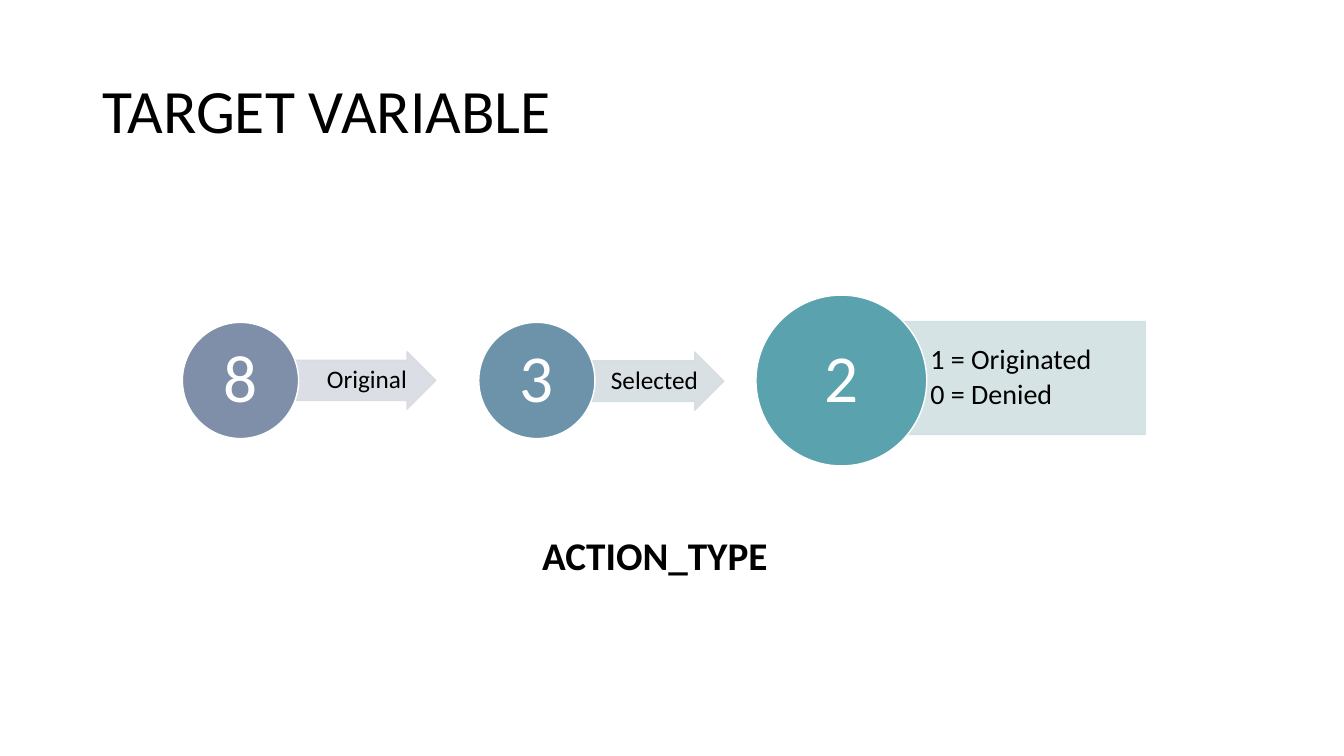
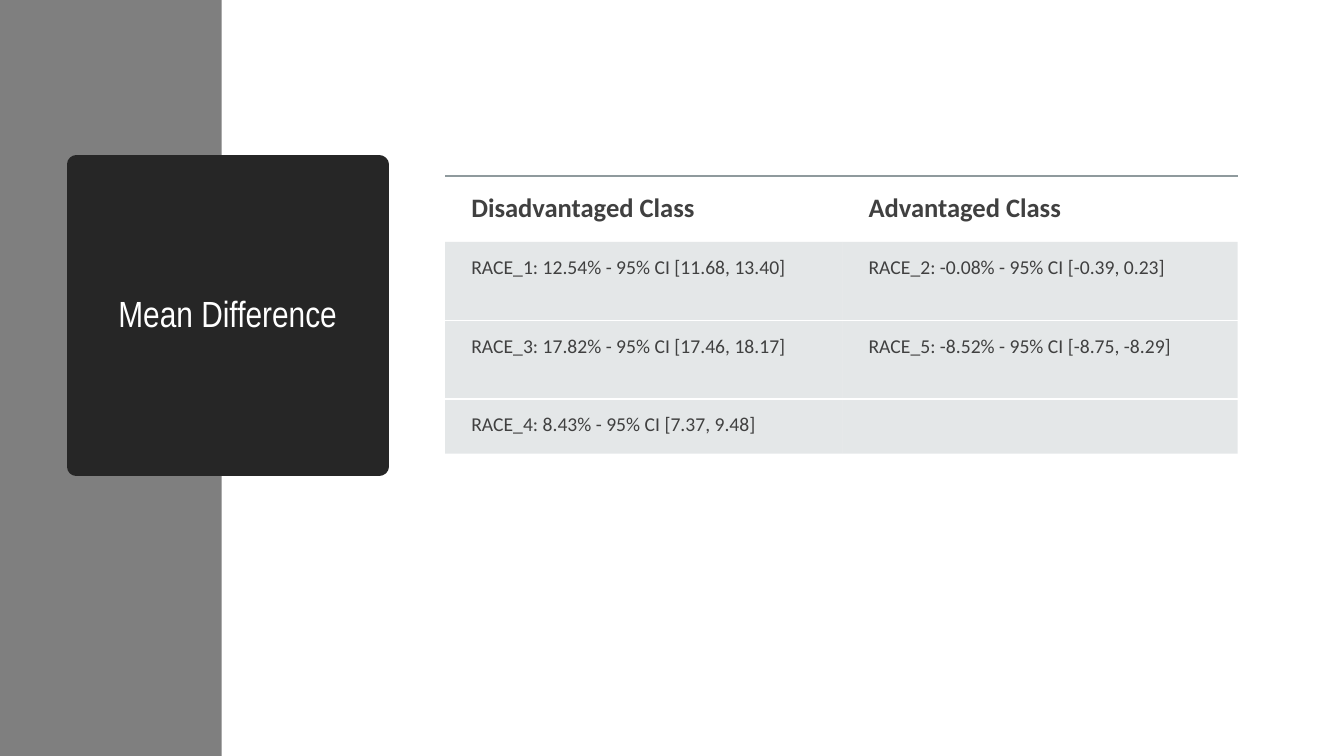
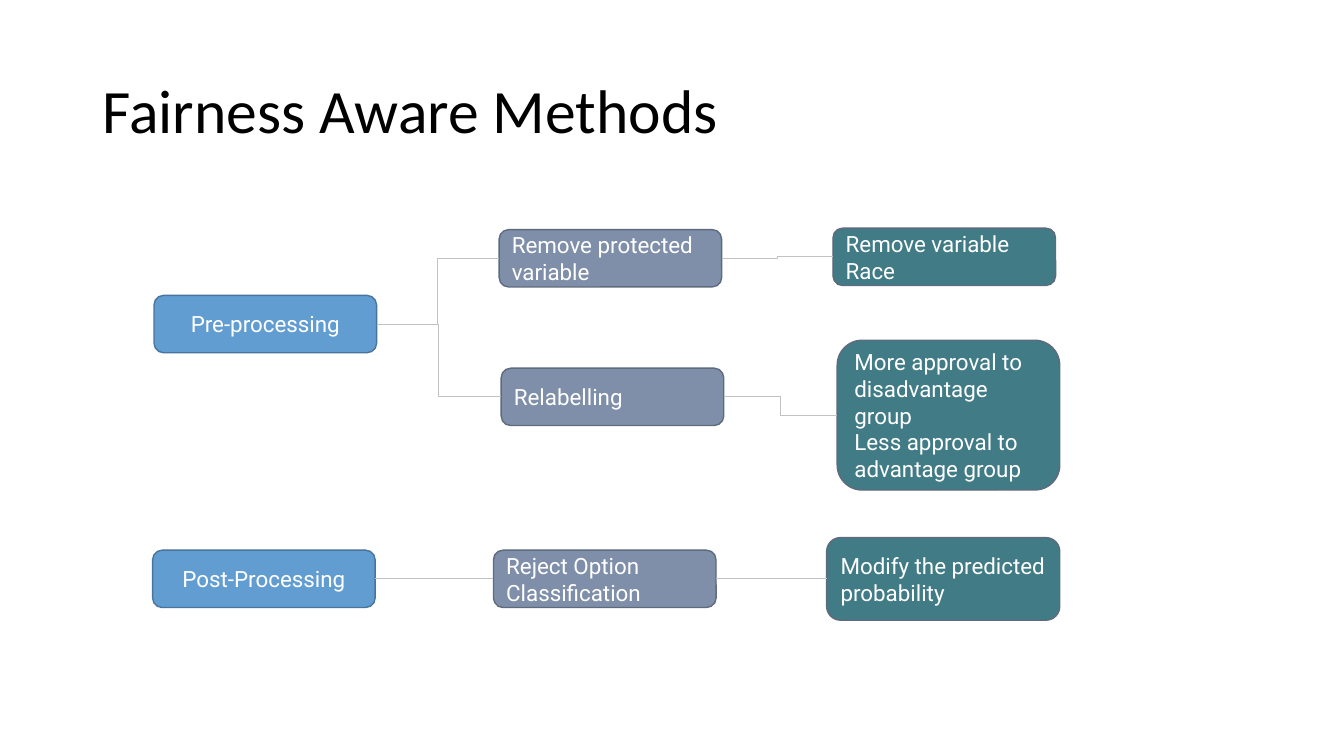
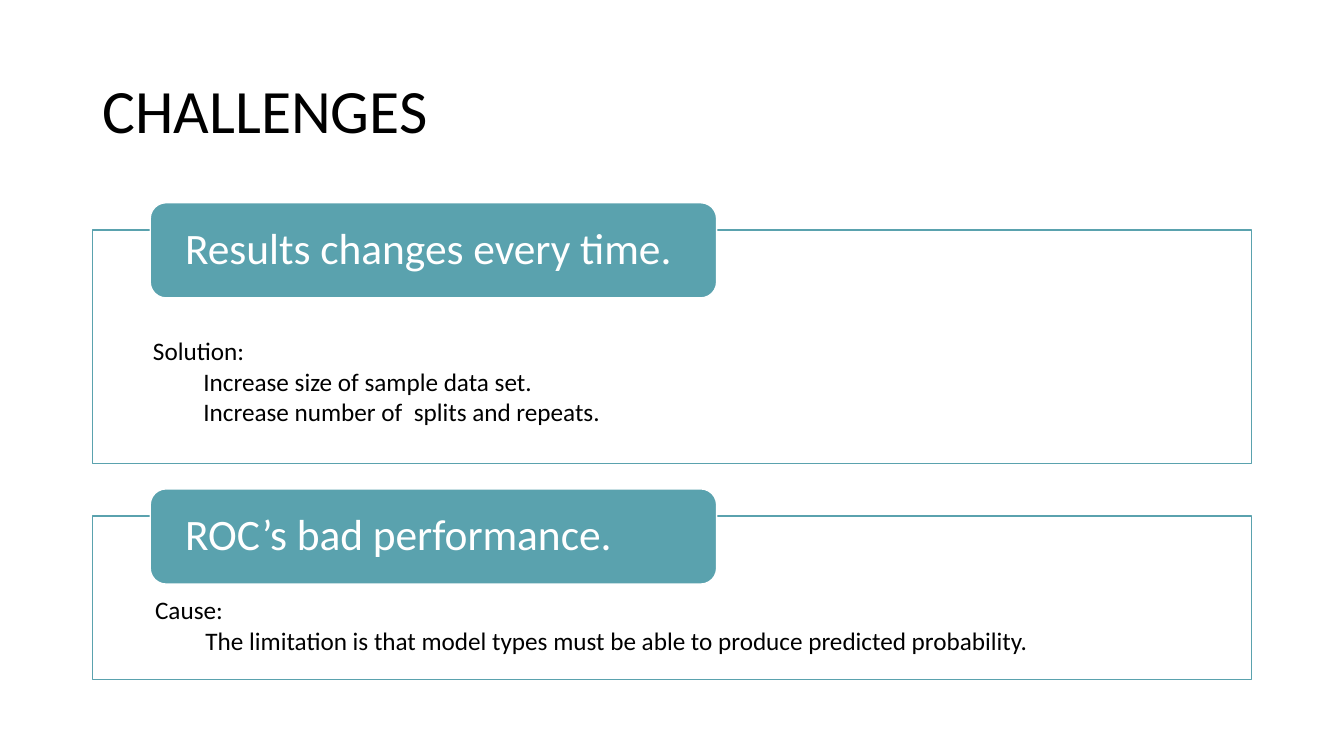
from lxml import etree
from pptx import Presentation
from pptx.dml.color import RGBColor
from pptx.enum.shapes import MSO_CONNECTOR, MSO_SHAPE, MSO_SHAPE_TYPE
from pptx.enum.text import MSO_ANCHOR, MSO_AUTO_SIZE, PP_ALIGN
from pptx.oxml.ns import qn
from pptx.util import Pt

LEFT, CENTER = PP_ALIGN.LEFT, PP_ALIGN.CENTER
TOP, MIDDLE = MSO_ANCHOR.TOP, MSO_ANCHOR.MIDDLE
NO_AUTOFIT = MSO_AUTO_SIZE.NONE
RECTANGLE, ROUNDED = MSO_SHAPE.RECTANGLE, MSO_SHAPE.ROUNDED_RECTANGLE
ELLIPSE, RIGHT_ARROW = MSO_SHAPE.OVAL, MSO_SHAPE.RIGHT_ARROW
AUTO_SHAPE = MSO_SHAPE_TYPE.AUTO_SHAPE
ELBOW = MSO_CONNECTOR.ELBOW
RIGHT_SIDE, LEFT_SIDE = 3, 1
TITLE_AND_CONTENT, TITLE_ONLY = 1, 5
PLAIN_TABLE_STYLE = "{2D5ABB26-0587-4C30-8999-92F81FD0307C}"

COLORS = {
    "black": "000000", "white": "FFFFFF",
    "slate": "7F8FA9", "slate line": "5E6A7D", "steel": "6D93AB", "teal": "5AA2AE",
    "pale slate": "D8DBE2", "pale steel": "D5DDE2", "pale teal": "D1E0E3",
    "band": "7F7F7F", "charcoal": "262626",
    "table text": "404040", "table fill": "B4BCBE", "table rule": "8F9A9D",
    "blue": "629DD1", "blue line": "49749B", "deep teal": "417B85", "connector": "C2C2C2",
}
RGB = {name: RGBColor.from_string(value) for name, value in COLORS.items()}


def write(frame, text, size=18, color="black", font="Calibri", bold=False, align=LEFT,
          anchor=TOP, margins=(7.2, 3.6, 7.2, 3.6), line_spacing=1.0,
          space_before=0, space_after=0, indents=None):
    """Fill a text frame, one paragraph a line; indents holds a left indent for each."""
    frame.word_wrap = True
    frame.auto_size = NO_AUTOFIT
    frame.vertical_anchor = anchor
    (frame.margin_left, frame.margin_top,
     frame.margin_right, frame.margin_bottom) = [Pt(margin) for margin in margins]
    for index, line in enumerate(text.split("\n")):
        paragraph = frame.add_paragraph() if index else frame.paragraphs[0]
        paragraph.alignment = align
        paragraph.line_spacing = line_spacing
        paragraph.space_before = Pt(space_before)
        paragraph.space_after = Pt(space_after)
        properties = paragraph._p.get_or_add_pPr()
        properties.set("marL", str(Pt(indents[index] if indents else 0)))
        properties.set("indent", "0")
        etree.SubElement(properties, qn("a:buNone"))
        run = paragraph.add_run()
        run.text = line
        run.font.size = Pt(size)
        run.font.name = font
        run.font.bold = bold
        run.font.color.rgb = RGB[color]


def set_opacity(element, percent):
    for color in element.iter(qn("a:srgbClr")):
        etree.SubElement(color, qn("a:alpha"), val=str(percent * 1000))


presentation = Presentation()
presentation.slide_width = Pt(960)
presentation.slide_height = Pt(540)

# Slides and titles
title_box = (66, 28.8, 828, 104.4)
title_format = {"size": 44}
card_format = {"size": 26, "font": "Arial Narrow", "color": "white", "align": CENTER}
slides = []
for layout, title, box, text_format in [
    (TITLE_AND_CONTENT, "TARGET VARIABLE", title_box, title_format),
    (TITLE_ONLY, "Mean Difference", (54.7, 117.4, 216, 216), card_format),
    (TITLE_ONLY, "Fairness Aware Methods", title_box, title_format),
    (TITLE_ONLY, "CHALLENGES", title_box, title_format),
]:
    slide = presentation.slides.add_slide(presentation.slide_layouts[layout])
    shape = slide.shapes.title
    shape.left, shape.top, shape.width, shape.height = [Pt(length) for length in box]
    write(shape.text_frame, title, anchor=MIDDLE, line_spacing=0.9, **text_format)
    slides.append(slide)
target_slide, difference_slide, methods_slide, challenges_slide = slides

# Target variable: three stages on one axis
body = target_slide.placeholders[1]
body.left, body.top, body.width, body.height = Pt(380), Pt(380), Pt(338), Pt(104)
write(body.text_frame, "ACTION_TYPE", size=28, bold=True, line_spacing=0.9, space_before=10)

axis = 271.8
arrow_text = {"size": 18, "align": CENTER, "margins": (32, 0.7, 2, 0.7)}
result_text = {"size": 20, "margins": (80.6, 0.7, 2, 0.7), "space_after": 3}
stages = [
    ("8", 130.3, 83, "slate", RIGHT_ARROW, (197.3, 251.3, 114, 41),
     "pale slate", "Original", arrow_text),
    ("3", 342, 83, "steel", RIGHT_ARROW, (402.5, 251.5, 114.5, 41.5),
     "pale steel", "Selected", arrow_text),
    ("2", 540, 122, "teal", RECTANGLE, (584, 229.7, 234, 80.6),
     "pale teal", "1 = Originated\n0 = Denied", result_text),
]
for number, left, diameter, color, kind, box, pale, label, text_format in stages:
    note = target_slide.shapes.add_shape(kind, *[Pt(length) for length in box])
    if kind == RIGHT_ARROW:
        note.adjustments[0], note.adjustments[1] = 0.7, 0.5
    note.fill.solid()
    note.fill.fore_color.rgb = RGB[pale]
    note.line.color.rgb = RGB[pale]
    note.line.width = Pt(1)
    set_opacity(note.element.spPr, 90)
    write(note.text_frame, label, anchor=MIDDLE, line_spacing=0.9, **text_format)

    circle = target_slide.shapes.add_shape(
        ELLIPSE, Pt(left), Pt(axis - diameter / 2), Pt(diameter), Pt(diameter))
    circle.fill.solid()
    circle.fill.fore_color.rgb = RGB[color]
    circle.line.color.rgb = RGB["white"]
    circle.line.width = Pt(1)
    write(circle.text_frame, number, size=48, color="white", align=CENTER, anchor=MIDDLE,
          margins=(2, 2, 2, 2), line_spacing=0.9)

# Mean difference: side band, title card and table
card = difference_slide.shapes.title
card.fill.solid()
card.fill.fore_color.rgb = RGB["charcoal"]
card.line.color.rgb = RGB["charcoal"]
card.line.width = Pt(13.75)

band = difference_slide.shapes.add_shape(RECTANGLE, 0, 0, Pt(158.4), Pt(540))
band.fill.solid()
band.fill.fore_color.rgb = RGB["band"]
band.line.fill.background()
card.element.addprevious(band.element)

rows = [
    ("Disadvantaged Class", "Advantaged Class"),
    ("RACE_1: 12.54% - 95% CI [11.68, 13.40]", "RACE_2: -0.08% - 95% CI [-0.39, 0.23]"),
    ("RACE_3: 17.82% - 95% CI [17.46, 18.17]", "RACE_5: -8.52% - 95% CI [-8.75, -8.29]"),
    ("RACE_4: 8.43% - 95% CI [7.37, 9.48]", ""),
]
row_heights = (46.8, 56.2, 56.2, 38.9)
table = difference_slide.shapes.add_table(
    len(rows), 2, Pt(318), Pt(126), Pt(566), Pt(sum(row_heights))).table
table.horz_banding = False
table._tbl.tblPr.find(qn("a:tableStyleId")).text = PLAIN_TABLE_STYLE
table.columns[0].width, table.columns[1].width = Pt(283.8), Pt(282.2)
for row, texts in enumerate(rows):
    table.rows[row].height = Pt(row_heights[row])
    header = row == 0
    borders = []
    if 0 < row < len(rows) - 1:
        borders.append(("a:lnB", "white", 100))
    if row != 1:
        borders.append(("a:lnT", "table rule" if header else "white", 60 if header else 100))
    for column, text in enumerate(texts):
        cell = table.cell(row, column)
        cell_properties = cell._tc.get_or_add_tcPr()
        if header:
            cell.fill.background()
        else:
            cell.fill.solid()
            cell.fill.fore_color.rgb = RGB["table fill"]
            set_opacity(cell_properties, 35)
        for side, color, opacity in borders:
            border = etree.Element(qn(side), w=str(Pt(1.5)))
            fill = etree.SubElement(border, qn("a:solidFill"))
            etree.SubElement(fill, qn("a:srgbClr"), val=COLORS[color])
            set_opacity(border, opacity)
            cell_properties.insert(0, border)
        if text:
            margin = 11.5 if header else 10
            write(cell.text_frame, text, size=19 if header else 14, color="table text",
                  bold=header)
            cell.margin_left = Pt(18.7)
            cell.margin_top = cell.margin_right = cell.margin_bottom = Pt(margin)

# Fairness aware methods: tree of boxes
box_styles = {
    "phase": ("blue", "blue line", CENTER),
    "method": ("slate", "slate line", LEFT),
    "action": ("deep teal", "slate line", LEFT),
}
tree_boxes = {
    "pre": ("phase", "Pre-processing", 110, 211, 159, 41),
    "post": ("phase", "Post-Processing", 109, 393, 159, 41),
    "remove": ("method", "Remove protected variable", 356.5, 164, 159, 41),
    "relabel": ("method", "Relabelling", 358, 263, 159, 41),
    "reject": ("method", "Reject Option Classification", 352.5, 393, 159, 41),
    "race": ("action", "Remove variable Race", 595, 163, 159, 41),
    "approval": ("action", "More approval to disadvantage group\nLess approval to advantage group",
                 598, 243, 159, 107),
    "modify": ("action", "Modify the predicted probability", 590.5, 384, 166.5, 59),
}
tree_shapes = {}
for name, (style, text, *box) in tree_boxes.items():
    fill_color, line_color, align = box_styles[style]
    shape = methods_slide.shapes.add_shape(ROUNDED, *[Pt(length) for length in box])
    shape.fill.solid()
    shape.fill.fore_color.rgb = RGB[fill_color]
    shape.line.color.rgb = RGB[line_color]
    shape.line.width = Pt(1)
    write(shape.text_frame, text, size=16, color="white", font="Roboto", align=align,
          anchor=MIDDLE, margins=(7.2, 7.2, 7.2, 7.2))
    tree_shapes[name] = shape

for start, end in [("pre", "remove"), ("pre", "relabel"), ("post", "reject"),
                   ("remove", "race"), ("relabel", "approval"), ("reject", "modify")]:
    connector = methods_slide.shapes.add_connector(ELBOW, 0, 0, 0, 0)
    connector.begin_connect(tree_shapes[start], RIGHT_SIDE)
    connector.end_connect(tree_shapes[end], LEFT_SIDE)
    connector.line.color.rgb = RGB["connector"]
    connector.line.width = Pt(0.75)
    etree.SubElement(connector.element.spPr, qn("a:effectLst"))

# Challenges: framed panels with a heading tab
panels = [
    (164.2, 167, "Results changes every time.", (102.2, 236.2, 672, 94),
     "Solution:\nIncrease size of sample data set.\nIncrease number of  splits and repeats."),
    (368.6, 116.6, "ROC’s bad performance.", (103.7, 421.2, 662, 51),
     "Cause:\nThe limitation is that model types must be able to produce predicted probability."),
]
for top, height, heading, detail_box, detail in panels:
    frame = challenges_slide.shapes.add_shape(RECTANGLE, Pt(66), Pt(top), Pt(828), Pt(height))
    frame.fill.solid()
    frame.fill.fore_color.rgb = RGB["white"]
    set_opacity(frame.element.spPr, 90)
    frame.line.color.rgb = RGB["teal"]

    tab = challenges_slide.shapes.add_shape(
        ROUNDED, Pt(107.3), Pt(top - 19.4), Pt(404.6), Pt(68))
    tab.fill.solid()
    tab.fill.fore_color.rgb = RGB["teal"]
    tab.line.color.rgb = RGB["white"]
    frame.line.width = tab.line.width = Pt(1)
    write(tab.text_frame, heading, size=31, color="white", anchor=MIDDLE,
          margins=(21.6, 0, 21.6, 0), line_spacing=0.9)

    text_box = challenges_slide.shapes.add_textbox(*[Pt(length) for length in detail_box])
    write(text_box.text_frame, detail, indents=(0, 36, 36))

for slide in slides:
    for shape in slide.shapes:
        if shape.shape_type == AUTO_SHAPE:
            shape.shadow.inherit = False

presentation.save("out.pptx")
